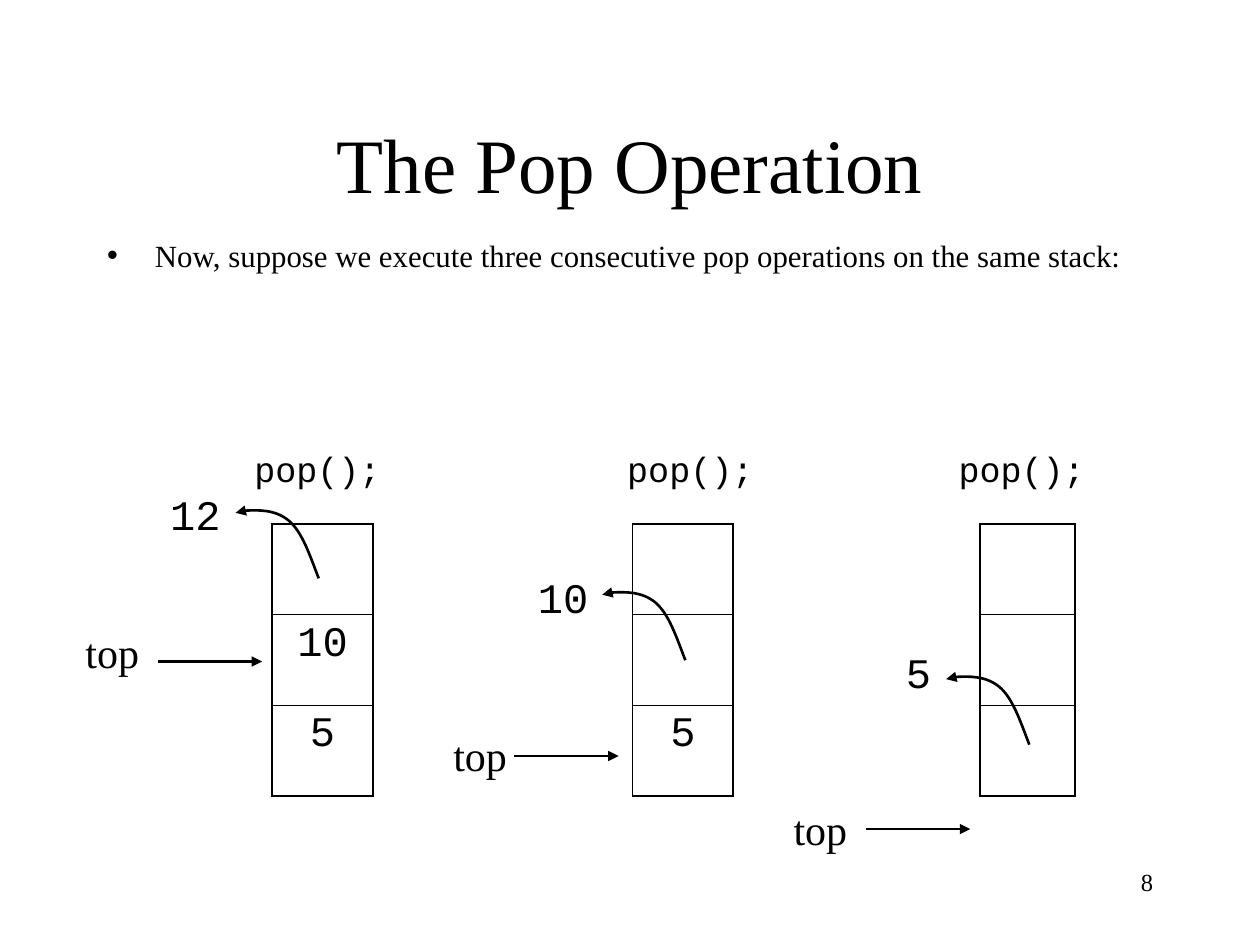
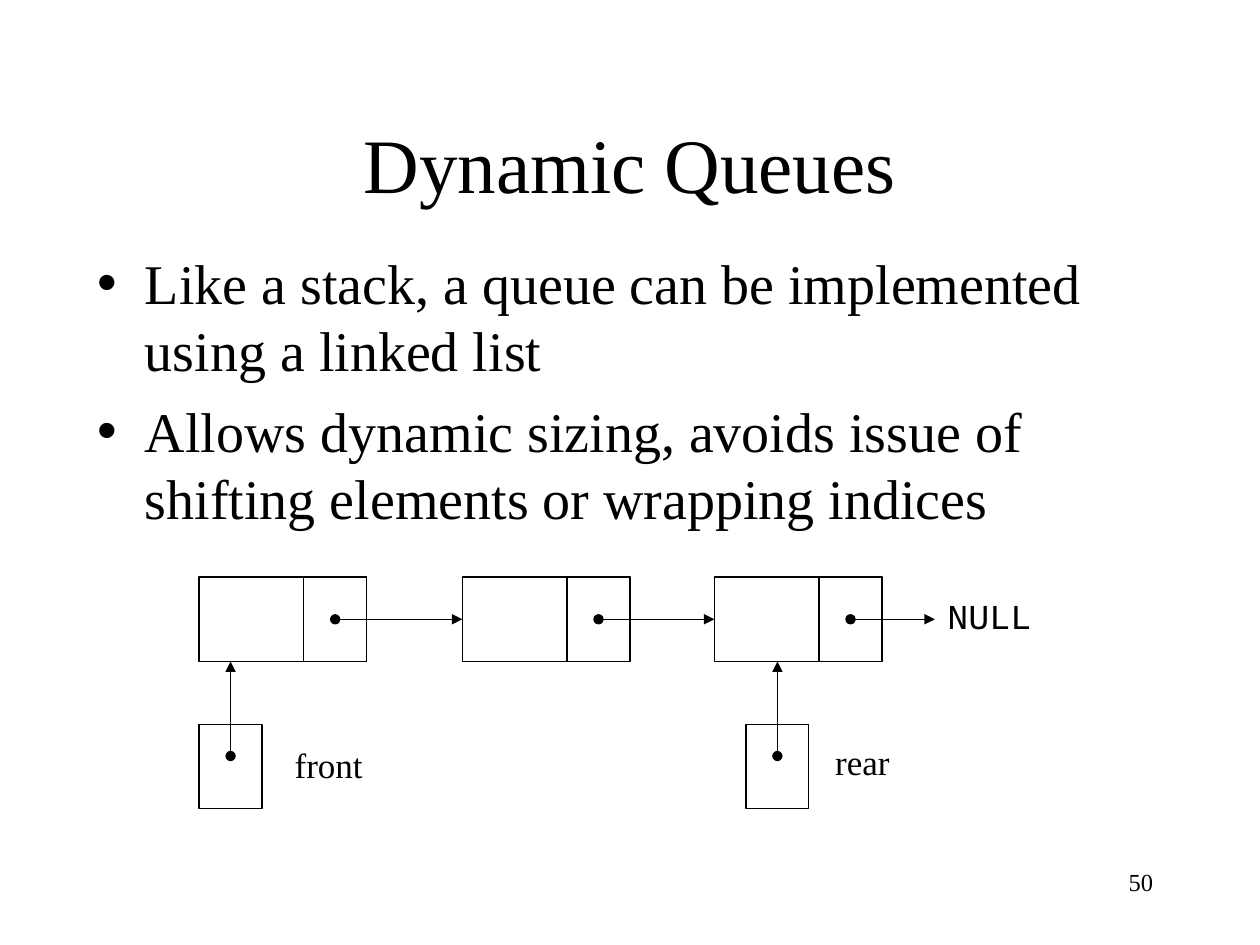
from lxml.etree import SubElement
from pptx import Presentation
from pptx.dml.color import RGBColor
from pptx.enum.shapes import MSO_CONNECTOR, MSO_SHAPE
from pptx.enum.text import MSO_ANCHOR, MSO_AUTO_SIZE, PP_ALIGN
from pptx.oxml.ns import qn
from pptx.util import Inches, Pt

# Shared look
INK = "000000"
SERIF, MONO = "Times New Roman", "Courier New"
TITLE_BOX = (0.75, 0.67, 8.5, 1.25)
NUMBER_BOX = (7.17, 6.83, 2.08, 0.5)
BULLET_INDENT = 0.38

# Pop slide
STACK_TOP, CELL_HEIGHT = 4.16, 0.72
OUTER_BORDER, INNER_BORDER = 1.08, 0.45
TOP_ARROW_LENGTH = 0.83
# Start point, then two Bezier segments of three points each
POP_CURVE = [(0.66, 0.55), (0.59, 0.37), (0.53, 0.18), (0.42, 0.09),
             (0.31, 0), (0.01, 0), (0, 0.03)]
STACKS = [
    dict(left=2.16, width=0.8, values=["", "10", "5"], call_left=1.92,
         popped="12", popped_box=(1.25, 3.83, 0.6, 0.5), curve=(1.87, 4.04),
         top_label=(0.58, 4.92), top_arrow=(1.25, 5.25)),
    dict(left=5.02, width=0.8, values=["", "", "5"], call_left=4.88,
         popped="10", popped_box=(4.17, 4.49, 0.6, 0.5), curve=(4.78, 4.69),
         top_label=(3.5, 5.74), top_arrow=(4.08, 6)),
    dict(left=7.78, width=0.75, values=["", "", ""], call_left=7.51,
         popped="5", popped_box=(7.09, 5.08, 0.4, 0.5), curve=(7.51, 5.36),
         top_label=(6.2, 6.33), top_arrow=(6.87, 6.58)),
]

# Queue slide
NODE_TOP, NODE_HEIGHT, NODE_WIDTH, LINK_WIDTH = 4.58, 0.67, 1.33, 0.5
NODE_LEFTS = [1.58, 3.67, 5.67]
NULL_LEFT = 7.42
POINTER_TOP = 5.75
POINTERS = [("front", 1.58, (2.24, 5.85, 0.74, 0.44)),
            ("rear", 5.92, (6.53, 5.83, 0.63, 0.44))]


def rgb(hex_colour):
    return RGBColor.from_string(hex_colour)


def inches(values):
    return [Inches(value) for value in values]


def place(shape, box):
    for side, length in zip(("left", "top", "width", "height"), inches(box)):
        setattr(shape, side, length)


def style_paragraph(paragraph, size, font=SERIF, align=PP_ALIGN.LEFT):
    paragraph.alignment = align
    formats = {"size": Pt(size), "name": font, "bold": False}
    for attribute, value in formats.items():
        setattr(paragraph.font, attribute, value)
    paragraph.font.color.rgb = rgb(INK)


def add_label(slide, text, box, size, font=SERIF, align=PP_ALIGN.LEFT,
              wrap=False):
    frame = slide.shapes.add_textbox(*inches(box)).text_frame
    frame.word_wrap = wrap
    frame.text = text
    style_paragraph(frame.paragraphs[0], size, font, align)


def start_slide(deck, title, bullets, bullet_box, bullet_size, number):
    """Add a slide with its title, bullet list and slide number."""
    slide = deck.slides.add_slide(deck.slide_layouts[1])
    heading, body = slide.placeholders
    place(heading, TITLE_BOX)
    heading.text_frame.text = title
    heading.text_frame.vertical_anchor = MSO_ANCHOR.MIDDLE
    style_paragraph(heading.text_frame.paragraphs[0], 44, align=PP_ALIGN.CENTER)

    place(body, bullet_box)
    body.text_frame.text = "\n".join(bullets)
    for paragraph in body.text_frame.paragraphs:
        style_paragraph(paragraph, bullet_size)
        paragraph.space_before = Pt(8)
        properties = paragraph._p.get_or_add_pPr()
        properties.set("marL", str(Inches(BULLET_INDENT)))
        properties.set("indent", str(-Inches(BULLET_INDENT)))
        SubElement(properties, qn("a:buChar"), char="•")
    for shape in (heading, body):
        shape.text_frame.auto_size = MSO_AUTO_SIZE.NONE

    add_label(slide, str(number), NUMBER_BOX, 14, align=PP_ALIGN.RIGHT, wrap=True)
    return slide


def style_line(shape, weight, head=None, tail=None):
    shape.line.color.rgb = rgb(INK)
    shape.line.width = Pt(weight)
    line = shape.element.spPr.find(qn("a:ln"))
    for end, kind in (("a:headEnd", head), ("a:tailEnd", tail)):
        if kind:
            SubElement(line, qn(end), type=kind)


def add_arrow(slide, start, end, weight, head=None):
    arrow = slide.shapes.add_connector(MSO_CONNECTOR.STRAIGHT,
                                       *inches(start + end))
    style_line(arrow, weight, head, "triangle")
    SubElement(arrow.element.spPr, qn("a:effectLst"))


def add_box(slide, box):
    outline = slide.shapes.add_shape(MSO_SHAPE.RECTANGLE, *inches(box))
    outline.shadow.inherit = False
    outline.fill.background()
    style_line(outline, 0.75)


def add_pop_curve(slide, left, top):
    points = [inches((left + x, top + y)) for x, y in POP_CURVE]
    builder = slide.shapes.build_freeform(*points[0])
    builder.add_line_segments(points[1:], close=False)
    curve = builder.convert_to_shape()
    curve.shadow.inherit = False
    curve.fill.background()
    style_line(curve, 1.5, tail="triangle")
    # Merge each three line segments into one Bezier segment
    outline = next(curve.element.iter(qn("a:path")))
    segments = outline.findall(qn("a:lnTo"))
    for first in range(0, len(segments), 3):
        bezier = SubElement(outline, qn("a:cubicBezTo"))
        for segment in segments[first:first + 3]:
            bezier.append(segment[0])
            outline.remove(segment)


def set_borders(cell, weights):
    """Draw the cell borders; weights maps L, R, T, B to points."""
    properties = cell._tc.get_or_add_tcPr()
    for side, weight in weights.items():
        border = SubElement(properties, qn(f"a:ln{side}"), w=str(Pt(weight)))
        fill = SubElement(border, qn("a:solidFill"))
        SubElement(fill, qn("a:srgbClr"), val=INK)


def add_stack(slide, left, width, values):
    size = inches((left, STACK_TOP, width, CELL_HEIGHT * len(values)))
    stack = slide.shapes.add_table(len(values), 1, *size).table
    stack.first_row = stack.horz_banding = False
    last = len(values) - 1
    for row, value in enumerate(values):
        stack.rows[row].height = Inches(CELL_HEIGHT)
        cell = stack.cell(row, 0)
        set_borders(cell, {"L": OUTER_BORDER, "R": OUTER_BORDER,
                           "T": OUTER_BORDER if row == 0 else INNER_BORDER,
                           "B": OUTER_BORDER if row == last else INNER_BORDER})
        cell.fill.background()
        cell.text = value
        style_paragraph(cell.text_frame.paragraphs[0], 24, MONO, PP_ALIGN.CENTER)


def build_pop_slide(deck):
    slide = start_slide(
        deck, "The Pop Operation",
        ["Now, suppose we execute three consecutive pop operations "
         "on the same stack:"],
        (0.75, 1.83, 8.5, 0.75), 17.6, 8)
    for stack in STACKS:
        add_stack(slide, stack["left"], stack["width"], stack["values"])
        add_label(slide, "pop();", (stack["call_left"], 3.5, 1.2, 0.44), 20, MONO)
        add_label(slide, stack["popped"], stack["popped_box"], 24, MONO,
                  PP_ALIGN.CENTER)
        add_pop_curve(slide, *stack["curve"])
        add_label(slide, "top", stack["top_label"] + (0.67, 0.5), 24, wrap=True)
        x, y = stack["top_arrow"]
        add_arrow(slide, (x, y), (x + TOP_ARROW_LENGTH, y), 1.25)


def build_queue_slide(deck):
    slide = start_slide(
        deck, "Dynamic Queues",
        ["Like a stack, a queue can be implemented using a linked list",
         "Allows dynamic sizing, avoids issue of shifting elements "
         "or wrapping indices"],
        (0.67, 1.92, 8.5, 4.5), 32, 50)
    # Linked nodes, each pointing to the next one or to NULL
    link_y = NODE_TOP + NODE_HEIGHT / 2
    for left, target in zip(NODE_LEFTS, NODE_LEFTS[1:] + [NULL_LEFT]):
        link_left = left + NODE_WIDTH - LINK_WIDTH
        add_box(slide, (left, NODE_TOP, NODE_WIDTH, NODE_HEIGHT))
        add_box(slide, (link_left, NODE_TOP, LINK_WIDTH, NODE_HEIGHT))
        add_arrow(slide, (link_left + LINK_WIDTH / 2, link_y),
                  (target, link_y), 0.75, "oval")
    add_label(slide, "NULL", (NULL_LEFT, 4.67, 0.87, 0.44), 20, MONO)
    # Front and rear pointers
    for name, left, label_box in POINTERS:
        x = left + LINK_WIDTH / 2
        add_box(slide, (left, POINTER_TOP, LINK_WIDTH, NODE_HEIGHT))
        add_arrow(slide, (x, POINTER_TOP + 0.25),
                  (x, NODE_TOP + NODE_HEIGHT), 0.75, "oval")
        add_label(slide, name, label_box, 20)


def main():
    deck = Presentation()
    deck.slide_width, deck.slide_height = Inches(10), Inches(7.5)
    build_pop_slide(deck)
    build_queue_slide(deck)
    deck.save("out.pptx")


if __name__ == "__main__":
    main()
